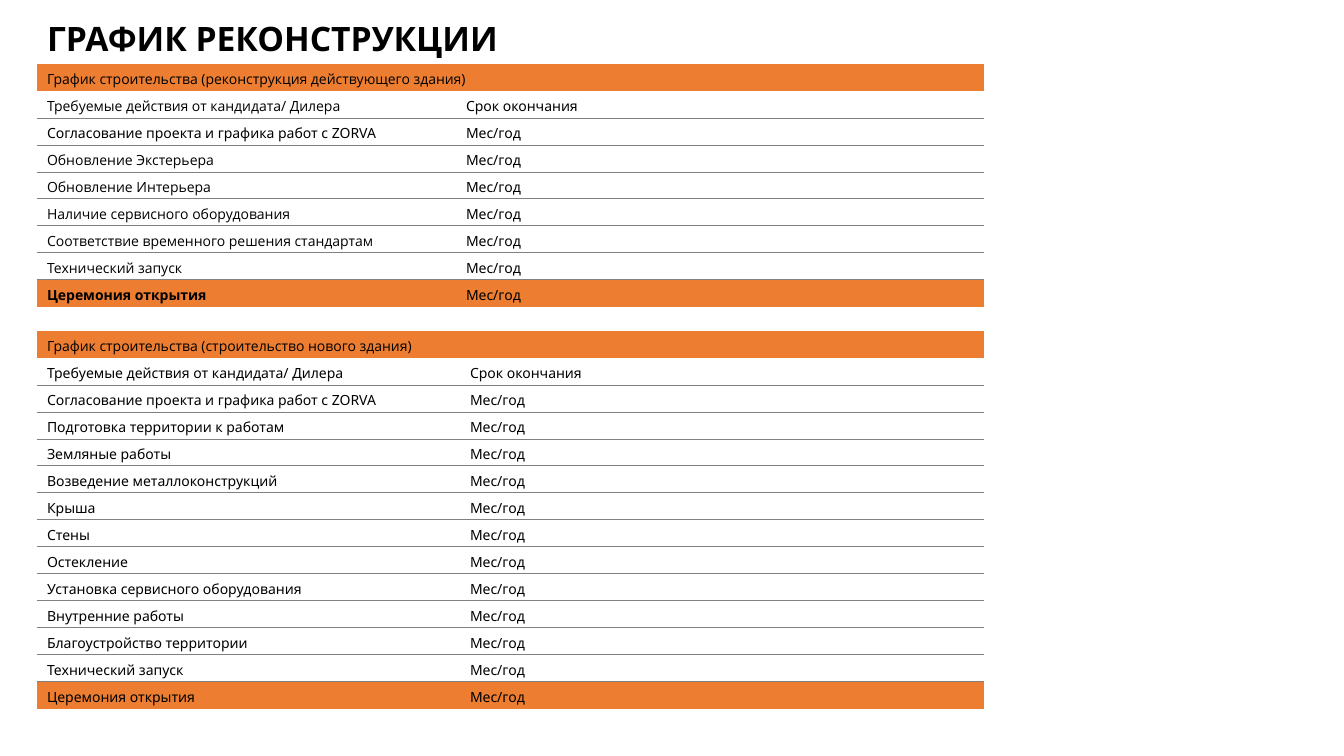
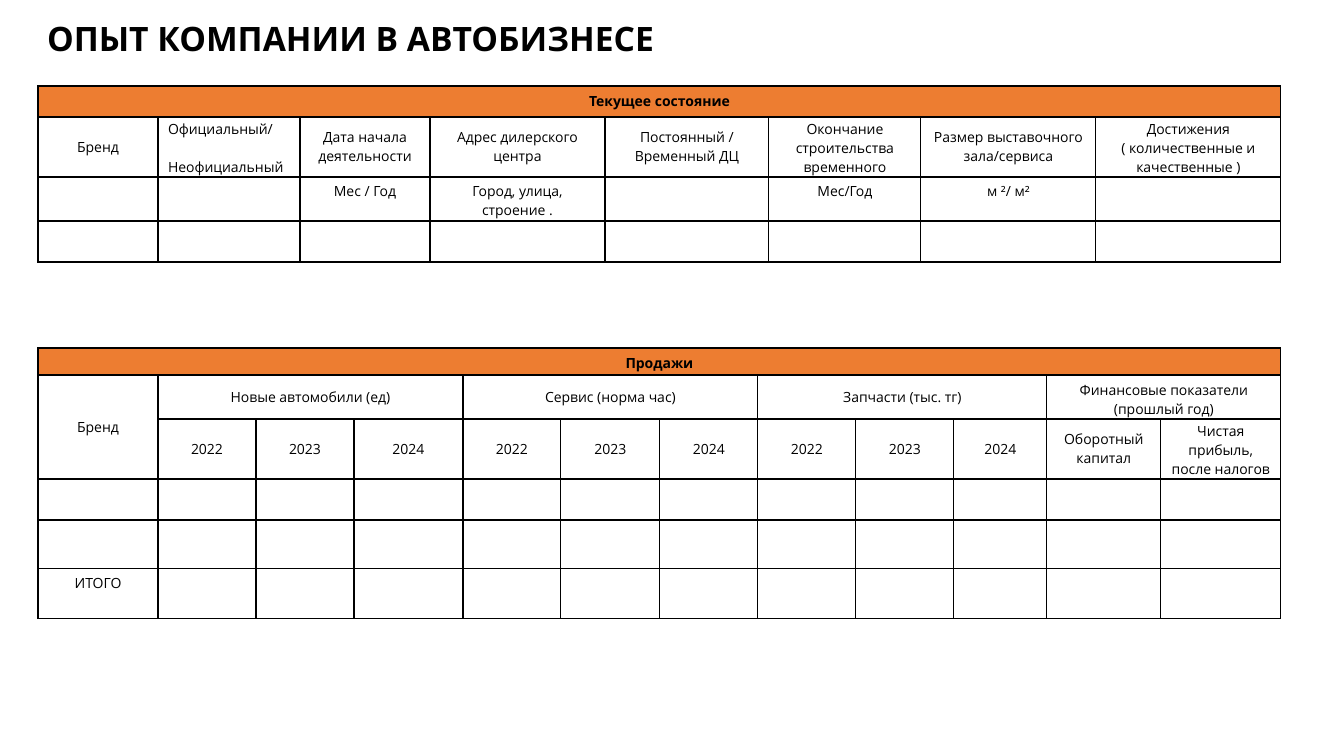
"""Build two dealer slides: reconstruction schedules and company experience."""
import math

import pptx
import pptx.dml.color
import pptx.enum.text
import pptx.oxml.ns
import pptx.util
from lxml import etree

PX = 914400 / 100.8
ORANGE = pptx.dml.color.RGBColor(0xED, 0x7D, 0x31)
BLACK = pptx.dml.color.RGBColor(0, 0, 0)
GREY = pptx.dml.color.RGBColor(0x80, 0x80, 0x80)
OPEN, NOTO = "Open Sans", "Noto Sans"
PLAIN_STYLE = "{2D5ABB26-0587-4C30-8999-92F81FD0307C}"
ALIGN = pptx.enum.text.PP_ALIGN
ANCHOR = pptx.enum.text.MSO_ANCHOR
SCHEDULE_LEFT, EXPERIENCE_LEFT = 37, 38
ROW = 27
LINE = 19.1
MARGIN = 5

DEADLINE = "Мес/год"
ACTIONS = "Требуемые действия от кандидата/ Дилера"
APPROVAL = "Согласование проекта и графика работ с ZORVA"
FINISH = ["Технический запуск", "Церемония открытия"]
SCHEDULES = [
    {
        "top": 64,
        "columns": [419, 528],
        "heading": "График строительства (реконструкция действующего здания)",
        "tasks": [APPROVAL, "Обновление Экстерьера", "Обновление Интерьера",
                  "Наличие сервисного оборудования",
                  "Соответствие временного решения стандартам"] + FINISH,
        "task_font": OPEN,
        "bold_finish": True,
    },
    {
        "top": 331,
        "columns": [423, 524],
        "heading": "График строительства (строительство нового здания)",
        "tasks": [APPROVAL, "Подготовка территории к работам", "Земляные работы",
                  "Возведение металлоконструкций", "Крыша", "Стены", "Остекление",
                  "Установка сервисного оборудования", "Внутренние работы",
                  "Благоустройство территории"] + FINISH,
        "task_font": NOTO,
        "bold_finish": False,
    },
]

YEARS = ["2022", "2023", "2024"]
STATUS_TYPE = "Официальный/\nНеофициальный"
FINANCE = "Финансовые показатели (прошлый год)"
WRAPPED_LINES = {STATUS_TYPE: 3, FINANCE: 2}
EXPERIENCE = [
    {
        "top": 86,
        "columns": [120, 142, 130, 175, 164, 152, 175, 185],
        "rows": [31, 60, 44, 41],
        "cells": [
            ["Текущее состояние"],
            ["Бренд", STATUS_TYPE, "Дата начала\nдеятельности",
             "Адрес дилерского\nцентра", "Постоянный /\nВременный ДЦ",
             "Окончание\nстроительства\nвременного",
             "Размер выставочного зала/сервиса",
             "Достижения\n( количественные и\nкачественные )"],
            ["", "", "Мес / Год", "Город, улица,\nстроение .", "", "Мес/Год", "м ²/ м²"],
            [],
        ],
        "spans": [(0, 0, 0, 7)],
        "middle_rows": 2,
    },
    {
        "top": 348,
        "columns": [120, 98, 98, 109, 98, 99, 98, 98, 98, 93, 114, 120],
        "rows": [27, 44, 60, 41, 49, 50],
        "cells": [
            ["Продажи"],
            ["Бренд", "Новые автомобили (ед)", "", "", "Сервис (норма час)", "", "",
             "Запчасти (тыс. тг)", "", "", FINANCE],
            [""] + YEARS * 3 + ["Оборотный капитал", "Чистая\nприбыль,\nпосле налогов"],
            [],
            [],
            ["ИТОГО"],
        ],
        "spans": [(0, 0, 0, 11), (1, 0, 2, 0), (1, 1, 1, 3), (1, 4, 1, 6),
                  (1, 7, 1, 9), (1, 10, 1, 11)],
        "middle_rows": 3,
    },
]


def px(length):
    return pptx.util.Emu(round(length * PX))


def add_titled_slide(deck, text):
    slide = deck.slides.add_slide(deck.slide_layouts[5])
    title = slide.shapes.title
    title.left, title.top, title.width, title.height = map(px, (37, 13, 1284, 50))
    title.text_frame.vertical_anchor = ANCHOR.MIDDLE
    write(title.text_frame, text, OPEN, 24, True)
    return slide


def write(frame, text, font, size=10, bold=False, align=ALIGN.LEFT):
    for index, line in enumerate(text.split("\n")):
        para = frame.add_paragraph() if index else frame.paragraphs[0]
        para.alignment = align
        span = para.add_run()
        span.text = line
        span.font.name = font
        span.font.size = pptx.util.Pt(size)
        span.font.bold = bold
        span.font.color.rgb = BLACK


def fit_margins(cell, text, height):
    lines = WRAPPED_LINES.get(text, text.count("\n") + 1)
    spare = height - math.ceil(LINE * lines)
    top = min(MARGIN, spare)
    cell.margin_top = px(top)
    cell.margin_bottom = px(min(MARGIN, spare - top))


def add_grid(slide, left, top, columns, rows):
    frame = slide.shapes.add_table(len(rows), len(columns), px(left), px(top),
                                   px(sum(columns)), px(sum(rows)))
    table = frame.table
    table.first_row = table.horz_banding = False
    frame.element.find(".//" + pptx.oxml.ns.qn("a:tableStyleId")).text = PLAIN_STYLE
    for column, width in zip(table.columns, columns):
        column.width = px(width)
    for row, height in zip(table.rows, rows):
        row.height = px(height)
    return table


def draw_borders(cell, sides, color, points):
    properties = cell._tc.get_or_add_tcPr()
    for side in sides:
        line = etree.SubElement(properties, pptx.oxml.ns.qn("a:ln" + side),
                                w=str(pptx.util.Pt(points)))
        fill = etree.SubElement(line, pptx.oxml.ns.qn("a:solidFill"))
        etree.SubElement(fill, pptx.oxml.ns.qn("a:srgbClr"), val=str(color))


def paint(cell, highlighted):
    if highlighted:
        cell.fill.solid()
        cell.fill.fore_color.rgb = ORANGE
    else:
        cell.fill.background()


def add_schedule(slide, plan):
    lines = [(plan["heading"], ""), (ACTIONS, "Срок окончания")]
    lines += [(task, DEADLINE) for task in plan["tasks"]]
    last = len(lines) - 1
    table = add_grid(slide, SCHEDULE_LEFT, plan["top"], plan["columns"],
                     [ROW] * len(lines))
    table.cell(0, 0).merge(table.cell(0, 1))
    for r, texts in enumerate(lines):
        for c, text in enumerate(texts):
            cell = table.cell(r, c)
            cell.vertical_anchor = ANCHOR.MIDDLE
            fit_margins(cell, text, ROW)
            if 1 < r < last:
                draw_borders(cell, "T", GREY, 0.75)
            if 0 < r < last - 1:
                draw_borders(cell, "B", GREY, 0.75)
            paint(cell, r in (0, last))
            if r == 0:
                font = OPEN
            elif c == 1 or text == APPROVAL:
                font = NOTO
            else:
                font = plan["task_font"]
            if text:
                write(cell.text_frame, text, font,
                      bold=plan["bold_finish"] and r == last and c == 0)


def add_experience(slide, grid):
    table = add_grid(slide, EXPERIENCE_LEFT, grid["top"], grid["columns"], grid["rows"])
    for top, left, bottom, right in grid["spans"]:
        table.cell(top, left).merge(table.cell(bottom, right))
    for r, texts in enumerate(grid["cells"]):
        for c in range(len(grid["columns"])):
            cell = table.cell(r, c)
            draw_borders(cell, "LRTB", BLACK, 1)
            paint(cell, r == 0)
            if r < grid["middle_rows"]:
                cell.vertical_anchor = ANCHOR.MIDDLE
            text = texts[c] if c < len(texts) else ""
            if text:
                align = ALIGN.LEFT if text == STATUS_TYPE else ALIGN.CENTER
                write(cell.text_frame, text, OPEN, bold=r == 0, align=align)
                fit_margins(cell, text, grid["rows"][r])
            if text == STATUS_TYPE:
                cell.text_frame.paragraphs[1].space_before = pptx.util.Pt(13.6)


def main():
    deck = pptx.Presentation()
    deck.slide_width, deck.slide_height = px(1344), px(756)
    schedule_slide = add_titled_slide(deck, "ГРАФИК РЕКОНСТРУКЦИИ")
    for plan in SCHEDULES:
        add_schedule(schedule_slide, plan)
    experience_slide = add_titled_slide(deck, "ОПЫТ КОМПАНИИ В АВТОБИЗНЕСЕ")
    for grid in EXPERIENCE:
        add_experience(experience_slide, grid)
    deck.save("out.pptx")


if __name__ == "__main__":
    main()
